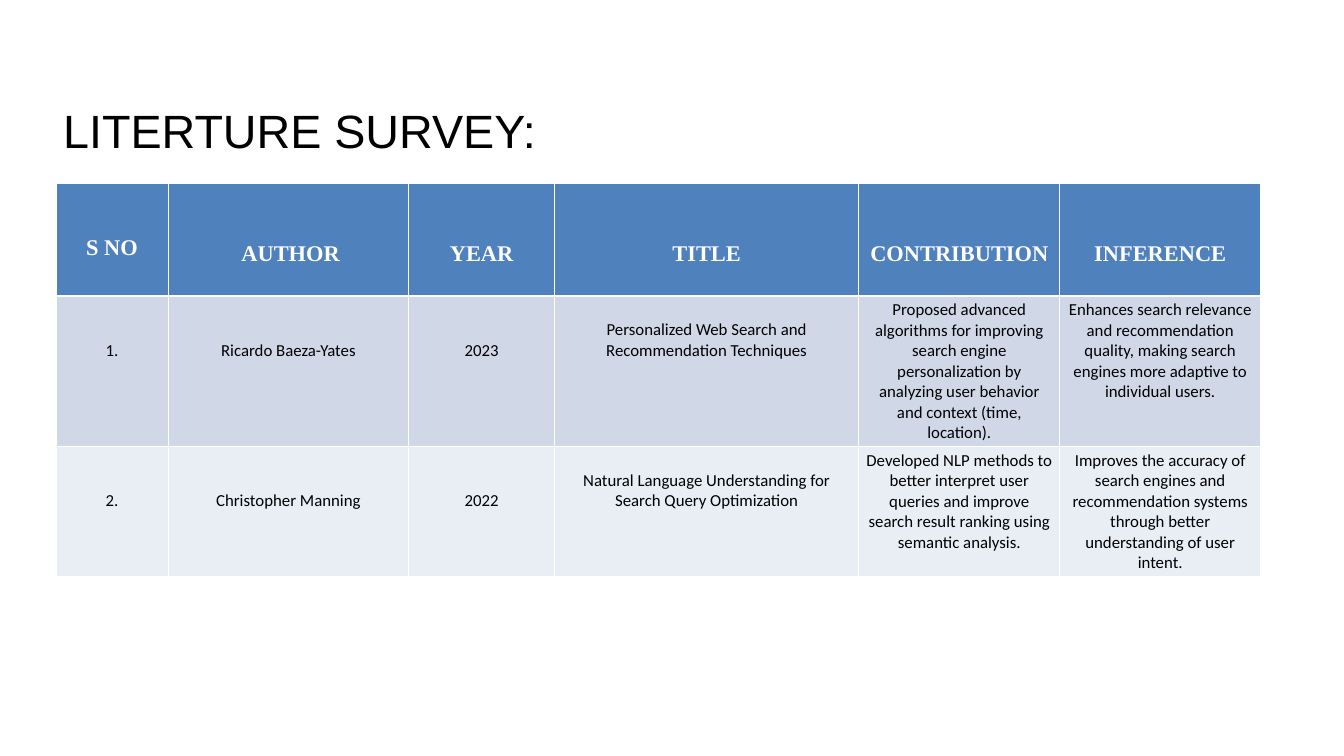
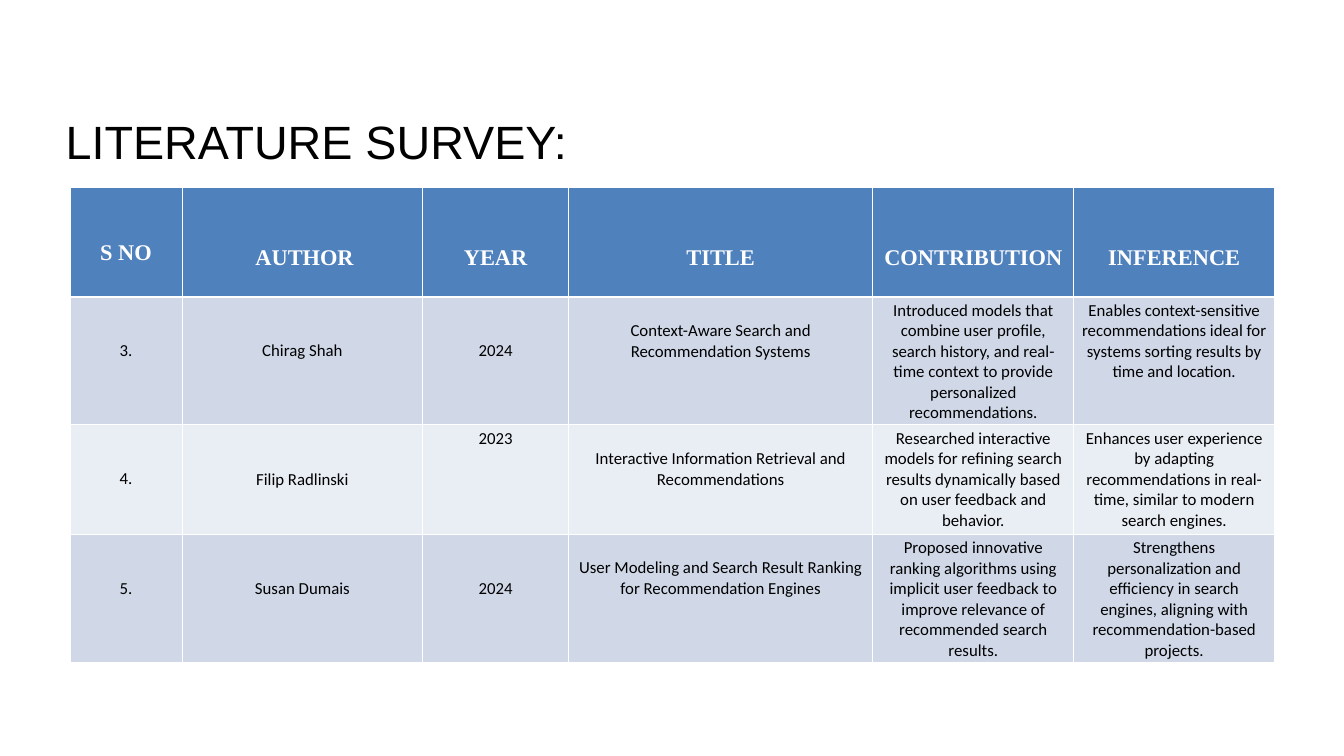
from lxml.etree import SubElement
from pptx import Presentation
from pptx.dml.color import RGBColor
from pptx.enum.text import MSO_ANCHOR, MSO_AUTO_SIZE, PP_ALIGN
from pptx.oxml.ns import qn
from pptx.util import Pt

SCALE = 9525
WHITE = RGBColor(0xFF, 0xFF, 0xFF)
BLACK = RGBColor(0x00, 0x00, 0x00)
BLUE = RGBColor(0x4F, 0x81, 0xBD)
BANDS = (RGBColor(0xD0, 0xD8, 0xE8), RGBColor(0xE9, 0xED, 0xF4))

TITLE = {"name": "Arial", "size": Pt(50), "bold": False}
HEAD = {"name": "Times New Roman", "size": Pt(24), "bold": True}
BODY = {"name": "Calibri", "size": Pt(18), "bold": False}

COLS = (160, 344, 208, 435, 287, 287)
LABELS = ("S NO", " AUTHOR", "YEAR", "TITLE", "CONTRIBUTION", "INFERENCE")
HEAD_TOPS = (75, 83, 83, 83, 83, 83)
BODY_TOPS = (63, 63, 63, 34, 5, 5)

FIRST = (
    ("1.", "Ricardo Baeza-Yates", "2023",
     "Personalized Web Search and Recommendation Techniques",
     "Proposed advanced algorithms for improving search engine personalization "
     "by analyzing user behavior and context (time, location).",
     "Enhances search relevance and recommendation quality, making search "
     "engines more adaptive to individual users."),
    ("2.", "Christopher Manning", "2022",
     "Natural Language Understanding for Search Query Optimization",
     "Developed NLP methods to better interpret user queries and improve "
     "search result ranking using semantic analysis.",
     "Improves the accuracy of search engines and recommendation systems "
     "through better understanding of user intent."),
)
SECOND = (
    ("3.", "Chirag Shah", "2024",
     "Context-Aware Search and Recommendation Systems",
     "Introduced models that combine user profile, search history, and "
     "real-time context to provide personalized recommendations.",
     "Enables context-sensitive recommendations ideal for systems sorting "
     "results by time and location."),
    ("4.", "Filip Radlinski", "2023",
     "Interactive Information Retrieval and Recommendations",
     "Researched interactive models for refining search results dynamically "
     "based on user feedback and behavior.",
     "Enhances user experience by adapting recommendations in real-time, "
     "similar to modern search engines."),
    ("5.", "Susan Dumais", "2024",
     "User Modeling and Search Result Ranking for Recommendation Engines",
     "Proposed innovative ranking algorithms using implicit user feedback to "
     "improve relevance of recommended search results.",
     "Strengthens personalization and efficiency in search engines, aligning "
     "with recommendation-based projects."),
)


def px(count):
    return count * SCALE


class Deck:
    def __init__(self):
        self.show = Presentation()
        self.show.slide_width = px(1920)
        self.show.slide_height = px(1080)
        self.slide = None

    def page(self):
        self.slide = self.show.slides.add_slide(self.show.slide_layouts[6])

    def label(self, frame, text, look, color):
        para = frame.paragraphs[0]
        para.alignment = PP_ALIGN.CENTER
        run = para.add_run()
        run.text = text
        for key, value in look.items():
            setattr(run.font, key, value)
        run.font.color.rgb = color
        return para

    def title(self, text, left, top):
        box = self.slide.shapes.add_textbox(px(left), px(top), px(774), px(86))
        frame = box.text_frame
        form = {"margin_left": 0, "margin_top": 0, "margin_right": 0,
                "margin_bottom": 0, "word_wrap": True,
                "auto_size": MSO_AUTO_SIZE.SHAPE_TO_FIT_TEXT}
        for key, value in form.items():
            setattr(frame, key, value)
        self.label(frame, text, TITLE, BLACK).line_spacing = Pt(70)

    def edges(self, cell, top, bottom):
        props = cell._tc.get_or_add_tcPr()
        for side, width in (("L", 1), ("R", 1), ("T", top), ("B", bottom)):
            line = SubElement(props, qn("a:ln" + side), w=str(Pt(width)))
            fill = SubElement(line, qn("a:solidFill"))
            SubElement(fill, qn("a:srgbClr"), val=str(WHITE))

    def cell(self, cell, text, row, top):
        head = row == 0
        self.edges(cell, 3 if row == 1 else 1, 3 if head else 1)
        cell.fill.solid()
        cell.fill.fore_color.rgb = BLUE if head else BANDS[(row - 1) % 2]
        cell.margin_top = px(top)
        look, color = (HEAD, WHITE) if head else (BODY, BLACK)
        self.label(cell.text_frame, text, look, color)

    def table(self, left, top, rows, sizes):
        data = (LABELS,) + rows
        frame = self.slide.shapes.add_table(
            len(data), len(COLS), px(left), px(top), px(sum(COLS)), px(sum(sizes)))
        table = frame.table
        table.horz_banding = False
        for col, width in zip(table.columns, COLS):
            col.width = px(width)
        for row, (texts, size) in enumerate(zip(data, sizes)):
            table.rows[row].height = px(size)
            tops = BODY_TOPS if row else HEAD_TOPS
            for col, (text, inset) in enumerate(zip(texts, tops)):
                self.cell(table.cell(row, col), text, row, inset)
        return table


def main():
    deck = Deck()
    deck.page()
    deck.table(80, 262, FIRST, (161, 215, 183))
    deck.title(" LITERTURE SURVEY:", 32, 132)

    deck.page()
    table = deck.table(100, 268, SECOND, (156, 183, 156, 183))
    author, year = table.cell(2, 1), table.cell(2, 2)
    author.vertical_anchor = MSO_ANCHOR.MIDDLE
    author.margin_top = year.margin_top = px(5)
    deck.title(" LITERATURE SURVEY:", 56, 148)
    deck.show.save("out.pptx")


if __name__ == "__main__":
    main()
